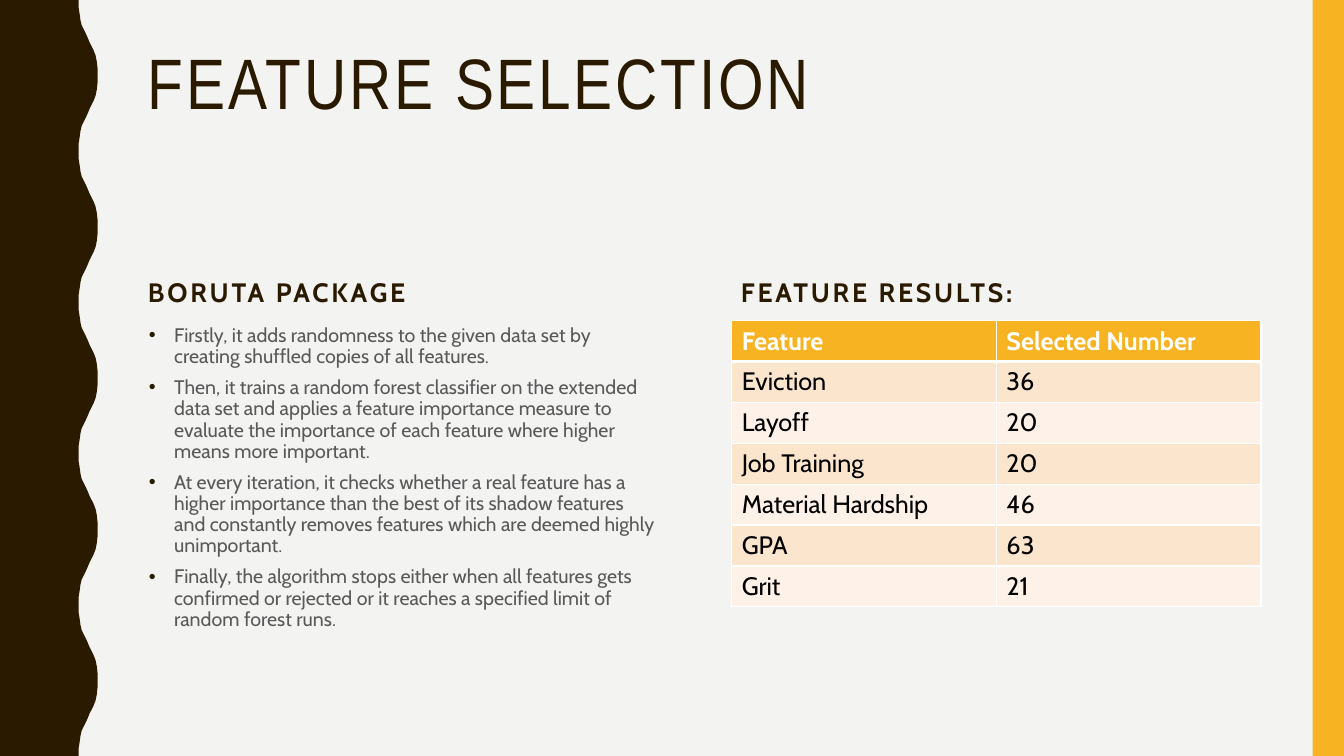
from lxml.etree import SubElement
from pptx import Presentation
from pptx.dml.color import RGBColor
from pptx.enum.shapes import MSO_SHAPE as Shape
from pptx.enum.text import MSO_ANCHOR as Anchor
from pptx.oxml.ns import qn
from pptx.util import Cm, Pt

COLORS = {
    "paper": "F3F3F2", "brown": "2A1A00", "amber": "F8B323", "gray": "595959",
    "white": "FFFFFF", "black": "000000", "peach": "FCE5CD", "cream": "FEF2E8",
}
TITLE = "FEATURE SELECTION"
HEADINGS = ["BORUTA PACKAGE", "FEATURE RESULTS:"]
STEPS = [
    "Firstly, it adds randomness to the given data set by creating shuffled copies of all features.",
    "Then, it trains a random forest classifier on the extended data set and applies a feature "
    "importance measure to evaluate the importance of each feature where higher means more important.",
    "At every iteration, it checks whether a real feature has a higher importance than the best of "
    "its shadow features and constantly removes features which are deemed highly unimportant.",
    "Finally, the algorithm stops either when all features gets confirmed or rejected or it reaches "
    "a specified limit of random forest runs.",
]
RESULTS = [
    ("Feature", "Selected Number"),
    ("Eviction", "36"),
    ("Layoff", "20"),
    ("Job Training", "20"),
    ("Material Hardship", "46"),
    ("GPA", "63"),
    ("Grit", "21"),
]
HALF_WAVE = [
    (1.98, 0), (1.98, 0.18), (2.01, 0.36), (2.03, 0.51), (2.06, 0.64),
    (2.11, 0.74), (2.16, 0.84), (2.21, 0.95), (2.26, 1.07), (2.31, 1.17),
    (2.36, 1.27), (2.41, 1.4), (2.44, 1.55), (2.46, 1.73), (2.46, 1.9),
]
WIDTH, HEIGHT = 33.87, 19.05
WAVES = 5
COLUMN_LEFTS = [3.48, 18.42]
COLUMN_WIDTH = 13.34
CONTENT_TOP = 8.08
ROW_HEIGHT = 1.03
EDGE_WIDTH = 0.79


def color(name):
    return RGBColor.from_string(COLORS[name])


def paint(shape, name):
    shape.shadow.inherit = False
    shape.fill.solid()
    shape.fill.fore_color.rgb = color(name)
    shape.line.fill.background()


def add_span(para, text, size, ink, font="Cabin", bold=False, spacing=0):
    span = para.add_run()
    span.text = text
    span.font.name = font
    span.font.size = Pt(size)
    span.font.bold = bold
    span.font.color.rgb = color(ink)
    if spacing:
        span.font._element.set("spc", str(spacing * 100))


def add_frame(page, left, top, width, height, anchor=Anchor.TOP):
    box = page.shapes.add_textbox(Cm(left), Cm(top), Cm(width), Cm(height))
    frame = box.text_frame
    frame.word_wrap = True
    frame.vertical_anchor = anchor
    return frame


def add_bullet(para):
    props = para._p.get_or_add_pPr()
    props.set("marL", str(Cm(0.64)))
    props.set("indent", str(-Cm(0.64)))
    tint = SubElement(props, qn("a:buClr"))
    SubElement(tint, qn("a:srgbClr"), val=COLORS["brown"])
    SubElement(props, qn("a:buFont"), typeface="Arial")
    SubElement(props, qn("a:buChar"), char="•")


def add_borders(cell, top, bottom):
    props = cell._tc.get_or_add_tcPr()
    for side, points in (("L", 1), ("R", 1), ("T", top), ("B", bottom)):
        line = SubElement(props, qn(f"a:ln{side}"), w=str(Pt(points)))
        fill = SubElement(line, qn("a:solidFill"))
        SubElement(fill, qn("a:srgbClr"), val=COLORS["white"])


def add_wave(page):
    period = HEIGHT / WAVES
    whole = HALF_WAVE + [(x, period - y) for x, y in reversed(HALF_WAVE)]
    edge = [(Cm(x), Cm(y + turn * period)) for turn in range(WAVES) for x, y in whole]
    builder = page.shapes.build_freeform(0, 0, scale=1.0)
    builder.add_line_segments(edge + [(0, Cm(HEIGHT))], close=True)
    paint(builder.convert_to_shape(), "brown")


def add_steps(page):
    frame = add_frame(page, COLUMN_LEFTS[0] + 0.02, CONTENT_TOP, COLUMN_WIDTH, 8.33)
    for index, step in enumerate(STEPS):
        para = frame.add_paragraph() if index else frame.paragraphs[0]
        para.line_spacing = 0.9
        para.space_before = Pt(7)
        add_bullet(para)
        add_span(para, step, 14, "gray")


def add_results(page):
    columns = len(RESULTS[0])
    table = page.shapes.add_table(
        len(RESULTS), columns, Cm(COLUMN_LEFTS[1] + 0.02), Cm(CONTENT_TOP),
        Cm(COLUMN_WIDTH), Cm(ROW_HEIGHT * len(RESULTS))).table
    table.horz_banding = False
    for column in table.columns:
        column.width = Cm(COLUMN_WIDTH / columns)
    for row, values in enumerate(RESULTS):
        table.rows[row].height = Cm(ROW_HEIGHT)
        header = row == 0
        shade = "amber" if header else ("cream", "peach")[row % 2]
        for column, value in enumerate(values):
            cell = table.cell(row, column)
            add_borders(cell, 3 if row == 1 else 1, 3 if header else 1)
            cell.fill.solid()
            cell.fill.fore_color.rgb = color(shade)
            add_span(cell.text_frame.paragraphs[0], value, 18,
                     "white" if header else "black", bold=header)


def main():
    deck = Presentation()
    deck.slide_width, deck.slide_height = Cm(WIDTH), Cm(HEIGHT)
    page = deck.slides.add_slide(deck.slide_layouts[6])
    page.background.fill.solid()
    page.background.fill.fore_color.rgb = color("paper")

    add_wave(page)
    stripe = page.shapes.add_shape(
        Shape.RECTANGLE, Cm(WIDTH - EDGE_WIDTH), 0, Cm(EDGE_WIDTH), Cm(HEIGHT))
    paint(stripe, "amber")

    title = add_frame(page, COLUMN_LEFTS[0], 1.07, 28.24, 4.14).paragraphs[0]
    title.line_spacing = 0.9
    add_span(title, TITLE, 51, "brown", font="Arial Narrow", spacing=2)

    for left, heading in zip(COLUMN_LEFTS, HEADINGS):
        para = add_frame(page, left, 6.12, COLUMN_WIDTH, 1.75, Anchor.BOTTOM).paragraphs[0]
        para.space_before = Pt(7)
        add_span(para, heading, 19, "brown", bold=True, spacing=2)

    add_steps(page)
    add_results(page)
    deck.save("out.pptx")


if __name__ == "__main__":
    main()
